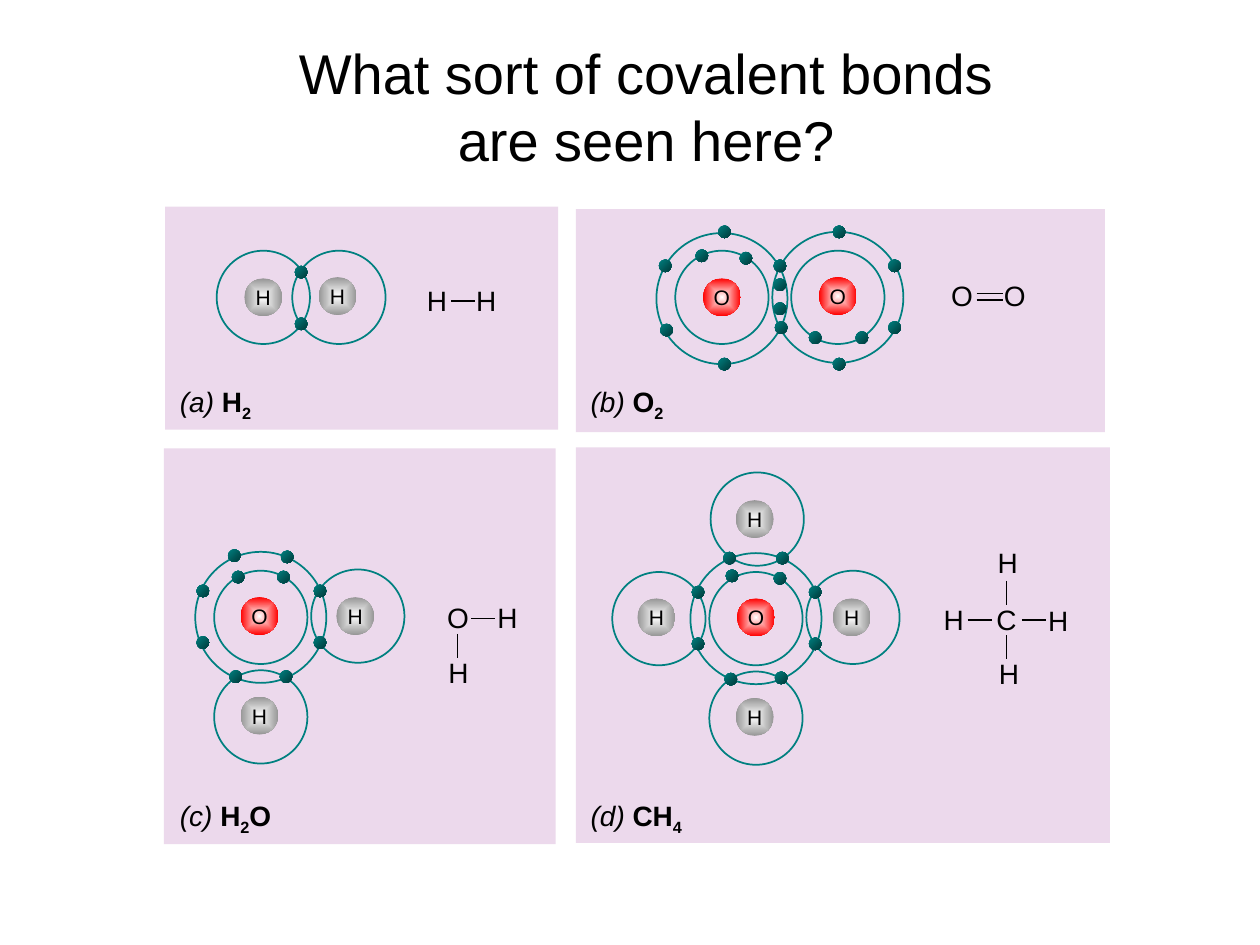
"""Build a slide asking which covalent bonds appear in four molecules."""
from lxml import etree
from pptx import Presentation
from pptx.dml.color import RGBColor
from pptx.enum.shapes import MSO_CONNECTOR, MSO_SHAPE
from pptx.enum.text import MSO_ANCHOR, MSO_AUTO_SIZE, PP_ALIGN
from pptx.oxml.ns import qn
from pptx.util import Inches, Pt

RECT, OVAL = MSO_SHAPE.RECTANGLE, MSO_SHAPE.OVAL
STRAIGHT = MSO_CONNECTOR.STRAIGHT
CENTER, LEFT = PP_ALIGN.CENTER, PP_ALIGN.LEFT
MIDDLE, TOP = MSO_ANCHOR.MIDDLE, MSO_ANCHOR.TOP

THEME = {
    "font": "Arial", "ink": "000000", "panel": "800080", "panel_alpha": 15,
    "shell": "008080", "electron": ("008080", "003B3B"),
    "atom": {"H": ("FFFFFF", "969696"), "O": ("FFFFFF", "FF0000")},
    "title": 32, "body": 16, "nucleus": 12, "shell_line": 1, "bond_line": 0.75,
}
SMALL, LARGE, NUCLEUS, ELECTRON = 0.74, 1.04, 0.3, 0.1
LETTER_W, LETTER_H, BOND = 0.36, 0.37, 0.19

TITLE = "What sort of covalent bonds are seen here?"
MOLECULES = [
    {
        "panel": (1.31, 1.64, 3.12, 1.77),
        "caption": ("(a) ", "H2", 1.33, 3, 0.78),
        "shells": [(SMALL, 1.72, 1.99), (SMALL, 2.32, 1.99)],
        "nuclei": [("H", 1.94, 2.21), ("H", 2.53, 2.2)],
        "electrons": [(2.34, 2.11), (2.34, 2.52)],
        "letters": [("H", 3.29, 2.2), ("H", 3.68, 2.2)],
        "bonds": [(3.58, 2.39, BOND, 0)],
    },
    {
        "panel": (4.57, 1.66, 4.2, 1.77),
        "caption": ("(b) ", "O2", 4.59, 3, 0.8),
        "shells": [(SMALL, 6.28, 1.99), (LARGE, 6.13, 1.84),
                   (SMALL, 5.36, 1.99), (LARGE, 5.21, 1.85)],
        "nuclei": [("O", 6.5, 2.2), ("O", 5.58, 2.21)],
        "electrons": [(7.05, 2.55), (7.05, 2.06), (6.61, 1.79), (6.79, 2.63),
                      (6.42, 2.63), (6.61, 2.84), (6.15, 2.55), (6.14, 2.21),
                      (5.7, 1.79), (5.87, 2), (5.52, 1.98), (5.23, 2.06),
                      (5.24, 2.57), (5.7, 2.84), (6.14, 2.06), (6.14, 2.4)],
        "letters": [("O", 7.45, 2.16), ("O", 7.87, 2.16)],
        "bonds": [(7.75, 2.33, 0.21, 0), (7.75, 2.38, 0.21, 0)],
    },
    {
        "panel": (1.3, 3.56, 3.11, 3.14),
        "caption": ("(c) ", "H2O", 1.33, 6.29, 0.94),
        "shells": [(SMALL, 2.47, 4.52), (SMALL, 1.7, 5.32),
                   (SMALL, 1.7, 4.53), (LARGE, 1.55, 4.38)],
        "nuclei": [("H", 2.67, 4.74), ("H", 1.91, 5.53), ("O", 1.91, 4.74)],
        "electrons": [(1.84, 4.53), (2.49, 5.05), (2.49, 4.64), (2.23, 4.37),
                      (2.2, 4.53), (1.81, 4.36), (1.56, 4.64), (1.56, 5.05),
                      (1.82, 5.32), (2.22, 5.32)],
        "letters": [("O", 3.45, 4.72), ("H", 3.85, 4.72), ("H", 3.46, 5.15)],
        "bonds": [(3.63, 5.03, 0, BOND), (3.74, 4.91, BOND, 0)],
    },
    {
        "panel": (4.57, 3.55, 4.24, 3.14),
        "caption": ("(d) ", "CH4", 4.59, 6.29, 0.94),
        "shells": [(SMALL, 4.86, 4.54), (SMALL, 5.64, 3.75), (SMALL, 5.63, 5.33),
                   (SMALL, 6.4, 4.53), (SMALL, 5.63, 4.54), (LARGE, 5.48, 4.39)],
        "nuclei": [("H", 5.06, 4.75), ("H", 5.84, 3.97), ("H", 5.84, 5.54),
                   ("H", 6.61, 4.75), ("O", 5.85, 4.75)],
        "electrons": [(6.42, 5.06), (6.42, 4.65), (6.16, 4.38), (6.14, 4.54),
                      (5.74, 4.38), (5.49, 4.65), (5.49, 5.06), (5.75, 5.34),
                      (6.15, 5.33), (5.76, 4.52)],
        "letters": [("C", 7.81, 4.73), ("H", 8.22, 4.74), ("H", 7.83, 5.16),
                    ("H", 7.82, 4.28), ("H", 7.39, 4.73)],
        "bonds": [(7.99, 5.04, 0, BOND), (8.11, 4.92, BOND, 0),
                  (7.68, 4.92, BOND, 0), (7.99, 4.61, 0, BOND)],
    },
]


def rgb(name):
    return RGBColor.from_string(THEME[name])


def add_run(p, text, size, bold=False, italic=False):
    r = p.add_run()
    r.text = text
    f = r.font
    f.name, f.size, f.bold, f.italic = THEME["font"], Pt(THEME[size]), bold, italic
    f.color.rgb = rgb("ink")
    return r


def add_shape(shapes, kind, x, y, w, h):
    sp = shapes.add_shape(kind, Inches(x), Inches(y), Inches(w), Inches(h))
    sp.shadow.inherit = False
    sp.fill.background()
    sp.line.fill.background()
    return sp


def add_panel(shapes, box):
    sp = add_shape(shapes, RECT, *box)
    sp.fill.solid()
    sp.fill.fore_color.rgb = rgb("panel")
    color = sp.fill._xPr.find(".//" + qn("a:srgbClr"))
    etree.SubElement(color, qn("a:alpha"), val=str(THEME["panel_alpha"] * 1000))


def fill_gradient(sp, colors, radial=False):
    sp.fill.gradient()
    for stop, color in zip(sp.fill.gradient_stops, colors):
        stop.color.rgb = RGBColor.from_string(color)
    for stop, position in zip(sp.fill.gradient_stops, (0, 1)):
        stop.position = position
    if not radial:
        sp.fill.gradient_angle = 315
        return
    grad = sp._element.spPr.find(qn("a:gradFill"))
    grad.remove(grad.find(qn("a:lin")))
    path = etree.SubElement(grad, qn("a:path"), path="shape")
    etree.SubElement(path, qn("a:fillToRect"), dict.fromkeys("ltrb", "50000"))


def add_shell(shapes, size, x, y):
    sp = add_shape(shapes, OVAL, x, y, size, size)
    sp.line.color.rgb = rgb("shell")
    sp.line.width = Pt(THEME["shell_line"])


def add_nucleus(shapes, symbol, x, y):
    sp = add_shape(shapes, OVAL, x, y, NUCLEUS, NUCLEUS)
    fill_gradient(sp, THEME["atom"][symbol], radial=True)
    tf = sp.text_frame
    tf.word_wrap, tf.vertical_anchor = False, MIDDLE
    p = tf.paragraphs[0]
    p.alignment = CENTER
    add_run(p, symbol, "nucleus")


def add_electron(shapes, x, y):
    sp = add_shape(shapes, OVAL, x, y, ELECTRON, ELECTRON)
    fill_gradient(sp, THEME["electron"])


def add_label(shapes, x, y, w):
    sp = shapes.add_textbox(Inches(x), Inches(y), Inches(w), Inches(LETTER_H))
    tf = sp.text_frame
    tf.word_wrap, tf.vertical_anchor = False, TOP
    tf.auto_size = MSO_AUTO_SIZE.SHAPE_TO_FIT_TEXT
    p = tf.paragraphs[0]
    p.alignment = LEFT
    return p


def add_caption(shapes, mark, formula, x, y, w):
    p = add_label(shapes, x, y, w)
    add_run(p, mark, "body", italic=True)
    for char in formula:
        r = add_run(p, char, "body", bold=True)
        if char.isdigit():
            r._r.get_or_add_rPr().set("baseline", "-25000")


def add_bond(shapes, x, y, dx, dy):
    c = shapes.add_connector(STRAIGHT, Inches(x), Inches(y), Inches(x + dx), Inches(y + dy))
    c.line.color.rgb = rgb("ink")
    c.line.width = Pt(THEME["bond_line"])
    etree.SubElement(c._element.spPr, qn("a:effectLst"))


def add_title(s):
    sp = s.shapes.title
    sp.left, sp.top, sp.width, sp.height = map(Inches, (1.92, 0.25, 6.42, 1.17))
    tf = sp.text_frame
    tf.word_wrap, tf.vertical_anchor = True, MIDDLE
    tf.auto_size = MSO_AUTO_SIZE.NONE
    p = tf.paragraphs[0]
    p.alignment = CENTER
    add_run(p, TITLE, "title")


def add_molecule(s, m):
    add_panel(s.shapes, m["panel"])
    model = s.shapes.add_group_shape().shapes
    for key, draw in (("shells", add_shell), ("nuclei", add_nucleus),
                      ("electrons", add_electron)):
        for item in m[key]:
            draw(model, *item)
    formula = s.shapes.add_group_shape().shapes
    for symbol, x, y in m["letters"]:
        add_run(add_label(formula, x, y, LETTER_W), symbol, "body")
    for bond in m["bonds"]:
        add_bond(formula, *bond)
    add_caption(s.shapes, *m["caption"])


def main():
    prs = Presentation()
    prs.slide_width, prs.slide_height = Inches(10), Inches(7.5)
    s = prs.slides.add_slide(prs.slide_layouts[5])
    add_title(s)
    for m in MOLECULES:
        add_molecule(s, m)
    prs.save("out.pptx")


if __name__ == "__main__":
    main()
